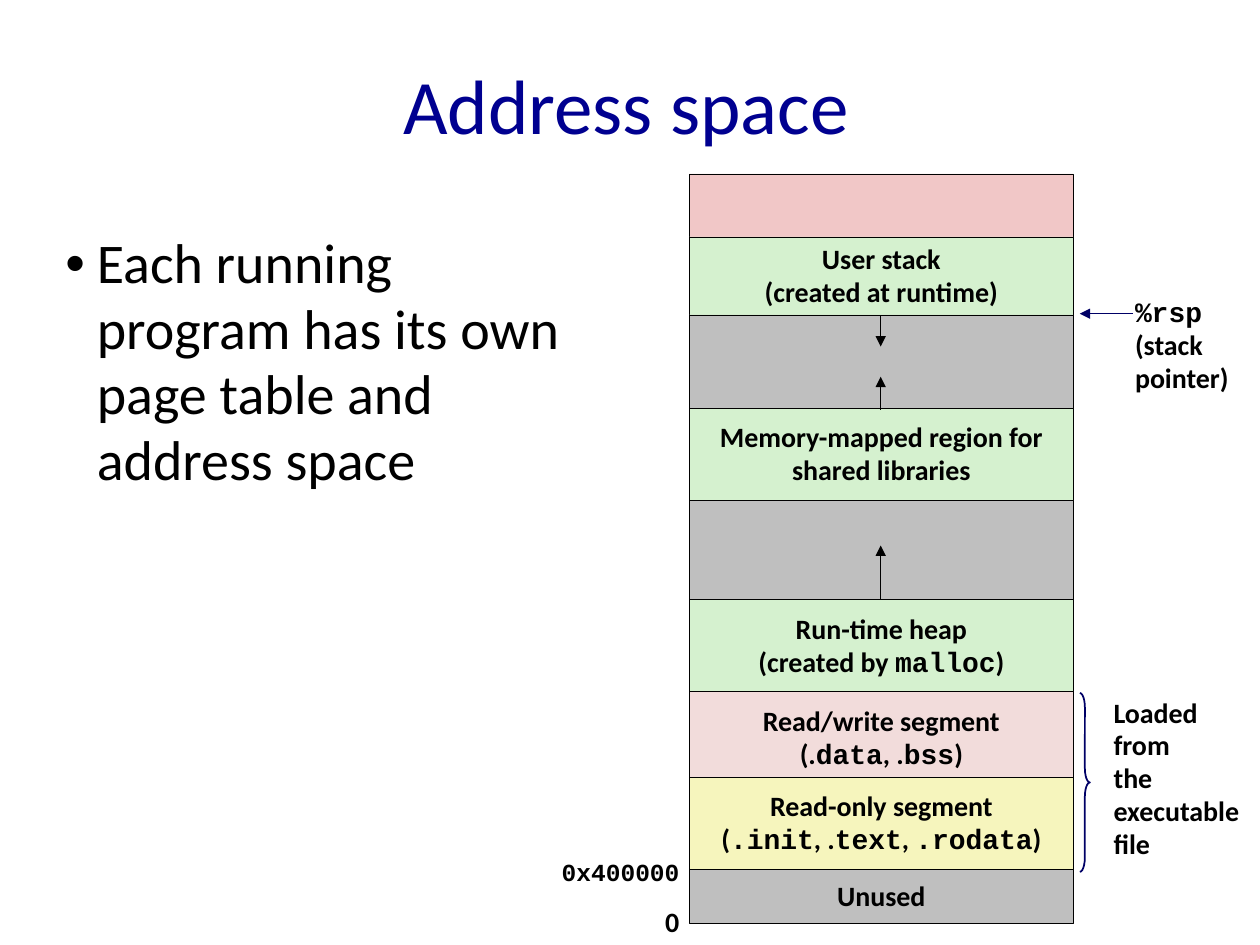
from lxml.etree import SubElement
from pptx import Presentation
from pptx.dml.color import RGBColor
from pptx.enum.shapes import MSO_CONNECTOR, MSO_SHAPE
from pptx.enum.text import MSO_ANCHOR, MSO_AUTO_SIZE, PP_ALIGN
from pptx.oxml.ns import qn
from pptx.util import Inches, Pt

BLACK = RGBColor(0x00, 0x00, 0x00)
TITLE_BLUE = RGBColor(0x00, 0x00, 0x90)
NAVY = RGBColor(0x00, 0x00, 0x66)
ROSE = RGBColor(0xF1, 0xC7, 0xC7)
GREEN = RGBColor(0xD5, 0xF1, 0xCF)
GRAY = RGBColor(0xBF, 0xBF, 0xBF)
PINK = RGBColor(0xF2, 0xDC, 0xDB)
YELLOW = RGBColor(0xF6, 0xF5, 0xBD)
SANS, MONO = "Calibri", "Courier New"

TITLE = "Address space"
BODY = "Each running program has its own page table and address space"

# Memory regions from high to low addresses: top, height, fill, lines.
# Text between backticks is set in the code font.
MAP_LEFT, MAP_WIDTH = 5.47, 3.05
REGIONS = [
    (1.38, 0.53, ROSE, []),
    (1.88, 0.62, GREEN, ["User stack", "(created at runtime)"]),
    (2.50, 0.74, GRAY, []),
    (3.24, 0.73, GREEN, ["Memory-mapped region for", "shared libraries"]),
    (3.97, 0.79, GRAY, []),
    (4.76, 0.73, GREEN, ["Run-time heap", "(created by `malloc`)"]),
    (5.49, 0.73, PINK, ["Read/write segment", "(.`data`, .`bss`)"]),
    (6.17, 0.73, YELLOW, ["Read-only segment", "(`.init`, .`text`, `.rodata`)"]),
    (6.90, 0.43, GRAY, ["Unused"]),
]

# Labels beside the map: left, top, width, height, size, lines
LABELS = [
    (5.18, 7.14, 0.31, 0.37, 16, ["0"]),
    (4.36, 6.77, 1.14, 0.33, 14, ["`0x400000`"]),
    (8.91, 2.31, 0.95, 0.88, 16, ["`%rsp`", "(stack", "pointer)"]),
    (8.74, 5.48, 1.26, 1.42, 16, ["Loaded", "from", "the", "executable", "file"]),
]

# Arrows: start, end, colour
GROWTH_X = 6.99
ARROWS = [
    ((GROWTH_X, 2.50), (GROWTH_X, 2.75), BLACK),
    ((GROWTH_X, 3.25), (GROWTH_X, 2.99), BLACK),
    ((GROWTH_X, 4.75), (GROWTH_X, 4.33), BLACK),
    ((8.99, 2.49), (8.57, 2.49), NAVY),
]


def style(font, size, color, name=None, bold=False):
    font.size, font.bold, font.color.rgb = Pt(size), bold, color
    if name:
        font.name = name


def write_lines(frame, lines, size, align):
    for i, line in enumerate(lines):
        para = frame.paragraphs[0] if i == 0 else frame.add_paragraph()
        para.alignment = align
        pieces = [(text, MONO if n % 2 else SANS)
                  for n, text in enumerate(line.split("`")) if text]
        fonts = {name for _, name in pieces}
        para.line_spacing = 0.94 if fonts == {MONO} else 0.98
        shared = fonts.pop() if len(fonts) == 1 else None
        style(para.font, size, BLACK, shared, bold=True)
        for text, name in pieces:
            run = para.add_run()
            run.text = text
            if not shared:
                style(run.font, size, BLACK, name, bold=True)


def add_text(slide, left, top, width, height):
    return slide.shapes.add_textbox(
        Inches(left), Inches(top), Inches(width), Inches(height)).text_frame


def add_region(slide, top, height, fill, lines):
    region = slide.shapes.add_shape(
        MSO_SHAPE.RECTANGLE, Inches(MAP_LEFT), Inches(top),
        Inches(MAP_WIDTH), Inches(height))
    region.shadow.inherit = False
    region.fill.solid()
    region.fill.fore_color.rgb = fill
    region.line.color.rgb = BLACK
    region.line.width = Pt(0.25)
    frame = region.text_frame
    frame.word_wrap = False
    frame.vertical_anchor = MSO_ANCHOR.MIDDLE
    write_lines(frame, lines, 16, PP_ALIGN.CENTER)


def add_arrow(slide, start, end, color):
    arrow = slide.shapes.add_connector(
        MSO_CONNECTOR.STRAIGHT, *(Inches(v) for v in start + end))
    arrow.line.color.rgb = color
    arrow.line.width = Pt(0.25)
    SubElement(arrow.line._get_or_add_ln(), qn("a:tailEnd"), type="triangle")
    SubElement(arrow._element.spPr, qn("a:effectLst"))


def main():
    prs = Presentation()
    prs.slide_width, prs.slide_height = Inches(10), Inches(7.5)
    slide = prs.slides.add_slide(prs.slide_layouts[6])

    # Title
    title = add_text(slide, 0.44, 0.39, 9.06, 0.86)
    title.word_wrap = True
    title.vertical_anchor = MSO_ANCHOR.MIDDLE
    heading = title.paragraphs[0]
    heading.text = TITLE
    heading.alignment = PP_ALIGN.CENTER
    style(heading.font, 44, TITLE_BLUE, SANS)

    # Bulleted statement
    body = add_text(slide, 0.42, 1.75, 4.33, 5.23)
    body.word_wrap = True
    body.margin_top = Inches(0.08)
    statement = body.paragraphs[0]
    statement.text = BODY
    statement.line_spacing = 0.98
    props = statement._p.get_or_add_pPr()
    props.set("marL", str(Inches(0.25)))
    props.set("indent", str(Inches(-0.25)))
    SubElement(props, qn("a:buFont"), typeface="Arial")
    SubElement(props, qn("a:buChar"), char="•")
    style(statement.font, 32, BLACK, SANS)

    # Memory map
    for region in REGIONS:
        add_region(slide, *region)
    for arrow in ARROWS:
        add_arrow(slide, *arrow)

    # Brace over the segments loaded from the file
    brace = slide.shapes.add_shape(
        MSO_SHAPE.RIGHT_BRACE, Inches(8.57), Inches(5.5), Inches(0.08), Inches(1.42))
    brace.shadow.inherit = False
    brace.adjustments[0] = 1.42
    brace.fill.background()
    brace.line.color.rgb = NAVY
    brace.line.width = Pt(1)

    # Side labels
    for *place, size, lines in LABELS:
        label = add_text(slide, *place)
        label.word_wrap = False
        label.auto_size = MSO_AUTO_SIZE.SHAPE_TO_FIT_TEXT
        write_lines(label, lines, size, PP_ALIGN.LEFT)

    prs.save("out.pptx")


if __name__ == "__main__":
    main()
